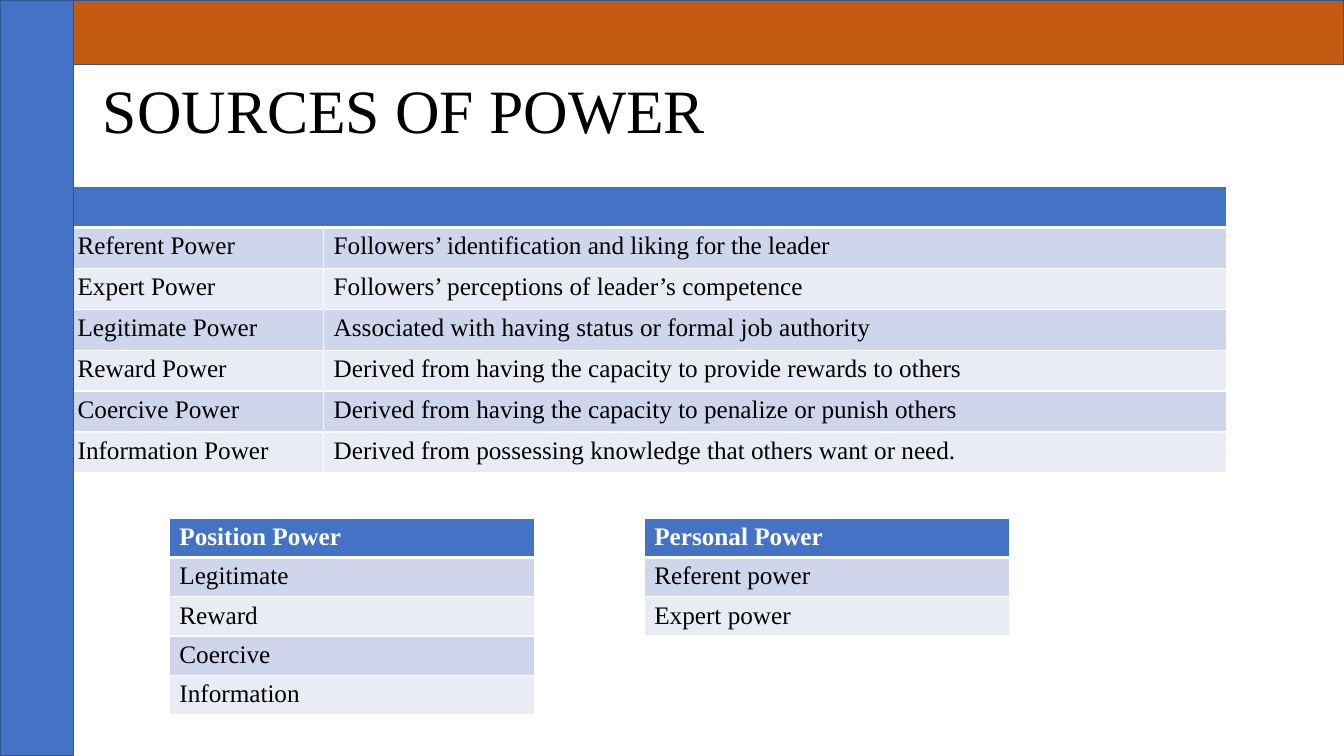
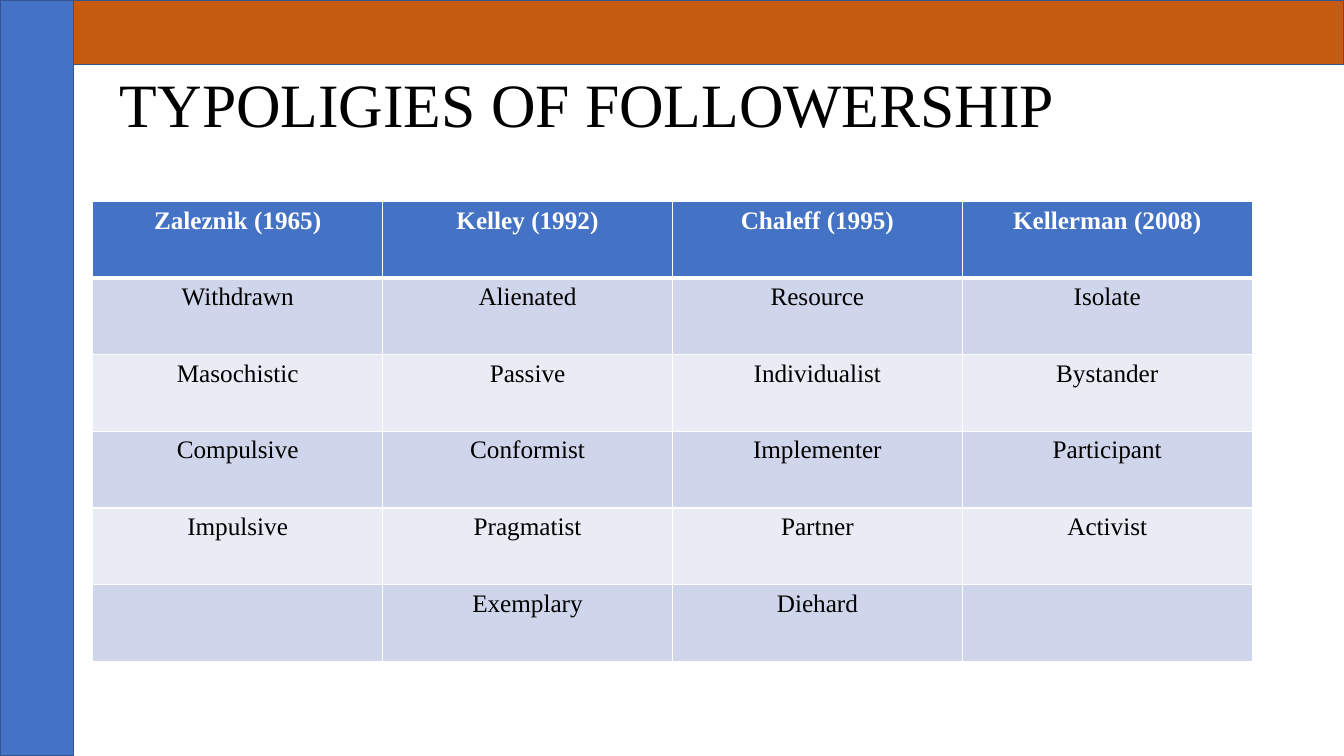
"""Build two slides on sources of power and typologies of followership."""
from dataclasses import dataclass

from lxml import etree
from pptx import Presentation
from pptx.dml.color import RGBColor
from pptx.enum import shapes, text
from pptx.oxml.ns import qn
from pptx.util import Inches, Pt


@dataclass(frozen=True)
class Theme:
    font: str = "Times New Roman"
    title_size: int = 44
    table_size: int = 18
    blue: str = "4472C4"
    orange: str = "C55A11"
    outline: str = "325491"
    stripes: tuple = ("E9EBF5", "CFD5EA")
    black: str = "000000"
    white: str = "FFFFFF"
    thin: int = 1
    thick: int = 3


THEME = Theme()
LEFT, CENTER = text.PP_ALIGN.LEFT, text.PP_ALIGN.CENTER
SIDE, WIDTH, HEIGHT = 0.73, 13.33, 7.5
BANDS = [
    ((0, 0, SIDE, HEIGHT), THEME.blue),
    ((SIDE, 0, WIDTH - SIDE, 0.64), THEME.orange),
]

SLIDES = [
    {
        "title": "SOURCES OF POWER",
        "title_at": (0.92, 0.4),
        "tables": [
            {
                "at": (0.67, 1.85), "widths": [2.54, 8.96], "row_height": 0.406,
                "align": LEFT, "merge_header": True,
                "rows": [
                    ("", ""),
                    ("Referent Power", "Followers’ identification and liking for the leader"),
                    ("Expert Power", "Followers’ perceptions of leader’s competence"),
                    ("Legitimate Power", "Associated with having status or formal job authority"),
                    ("Reward Power", "Derived from having the capacity to provide rewards to others"),
                    ("Coercive Power", "Derived from having the capacity to penalize or punish others"),
                    ("Information Power", "Derived from possessing knowledge that others want or need."),
                ],
            },
            {
                "at": (1.68, 5.14), "widths": [3.62], "row_height": 0.39,
                "align": LEFT, "merge_header": False,
                "rows": [("Position Power",), ("Legitimate",), ("Reward",),
                         ("Coercive",), ("Information",)],
            },
            {
                "at": (6.39, 5.14), "widths": [3.62], "row_height": 0.39,
                "align": LEFT, "merge_header": False,
                "rows": [("Personal Power",), ("Referent power",), ("Expert power",)],
            },
        ],
    },
    {
        "title": "TYPOLIGIES OF FOLLOWERSHIP",
        "title_at": (1.09, 0.34),
        "tables": [
            {
                "at": (0.92, 2), "widths": [2.875] * 4, "row_height": 0.76,
                "align": CENTER, "merge_header": False,
                "rows": [
                    ("Zaleznik (1965)", "Kelley (1992)", "Chaleff (1995)", "Kellerman (2008)"),
                    ("Withdrawn", "Alienated", "Resource", "Isolate"),
                    ("Masochistic", "Passive", "Individualist", "Bystander"),
                    ("Compulsive", "Conformist", "Implementer", "Participant"),
                    ("Impulsive", "Pragmatist", "Partner", "Activist"),
                    ("", "Exemplary", "Diehard", ""),
                ],
            },
        ],
    },
]


def write(paragraph, words, size, color, bold, align):
    paragraph.alignment = align
    if words:
        font = paragraph.add_run().font
        paragraph.runs[0].text = words
        for name, value in {"name": THEME.font, "size": Pt(size), "bold": bold}.items():
            setattr(font, name, value)
        font.color.rgb = RGBColor.from_string(color)


def format_cell(cell, fill, top, bottom):
    cell.fill.solid()
    cell.fill.fore_color.rgb = RGBColor.from_string(fill)
    properties = cell._tc.get_or_add_tcPr()
    borders = {"a:lnL": THEME.thin, "a:lnR": THEME.thin, "a:lnT": top, "a:lnB": bottom}
    for position, (tag, points) in enumerate(borders.items()):
        border = etree.Element(qn(tag), w=str(Pt(points)))
        solid = etree.SubElement(border, qn("a:solidFill"))
        etree.SubElement(solid, qn("a:srgbClr"), val=THEME.white)
        properties.insert(position, border)


presentation = Presentation()
presentation.slide_width = Inches(WIDTH)
presentation.slide_height = Inches(HEIGHT)
title_only = presentation.slide_layouts[5]

for content in SLIDES:
    slide = presentation.slides.add_slide(title_only)
    title = slide.shapes.title
    left, top = content["title_at"]
    for name, inches in {"left": left, "top": top, "width": 11.5, "height": 1.45}.items():
        setattr(title, name, Inches(inches))
    frame = title.text_frame
    frame.auto_size = text.MSO_AUTO_SIZE.NONE
    frame.vertical_anchor = text.MSO_ANCHOR.MIDDLE
    paragraph = frame.paragraphs[0]
    paragraph.line_spacing = 0.9
    write(paragraph, content["title"], THEME.title_size, THEME.black, False, LEFT)

    for spec_table in content["tables"]:
        rows, widths = spec_table["rows"], spec_table["widths"]
        left, top = spec_table["at"]
        height = spec_table["row_height"] * len(rows)
        table = slide.shapes.add_table(
            len(rows), len(widths), Inches(left), Inches(top),
            Inches(sum(widths)), Inches(height)).table
        for column, width in zip(table.columns, widths):
            column.width = Inches(width)
        for row_index, row in enumerate(rows):
            header = row_index == 0
            fill = THEME.blue if header else THEME.stripes[row_index % 2]
            color = THEME.white if header else THEME.black
            top_line = THEME.thick if row_index == 1 else THEME.thin
            bottom_line = THEME.thick if header else THEME.thin
            for column_index, words in enumerate(row):
                cell = table.cell(row_index, column_index)
                format_cell(cell, fill, top_line, bottom_line)
                write(cell.text_frame.paragraphs[0], words, THEME.table_size,
                      color, header, spec_table["align"])
        if spec_table["merge_header"]:
            table.cell(0, 0).merge(table.cell(0, len(widths) - 1))

    for box, color in BANDS:
        band = slide.shapes.add_shape(shapes.MSO_SHAPE.RECTANGLE, *map(Inches, box))
        band.shadow.inherit = False
        band.fill.solid()
        band.fill.fore_color.rgb = RGBColor.from_string(color)
        band.line.color.rgb = RGBColor.from_string(THEME.outline)
        band.line.width = Pt(1)

presentation.save("out.pptx")
